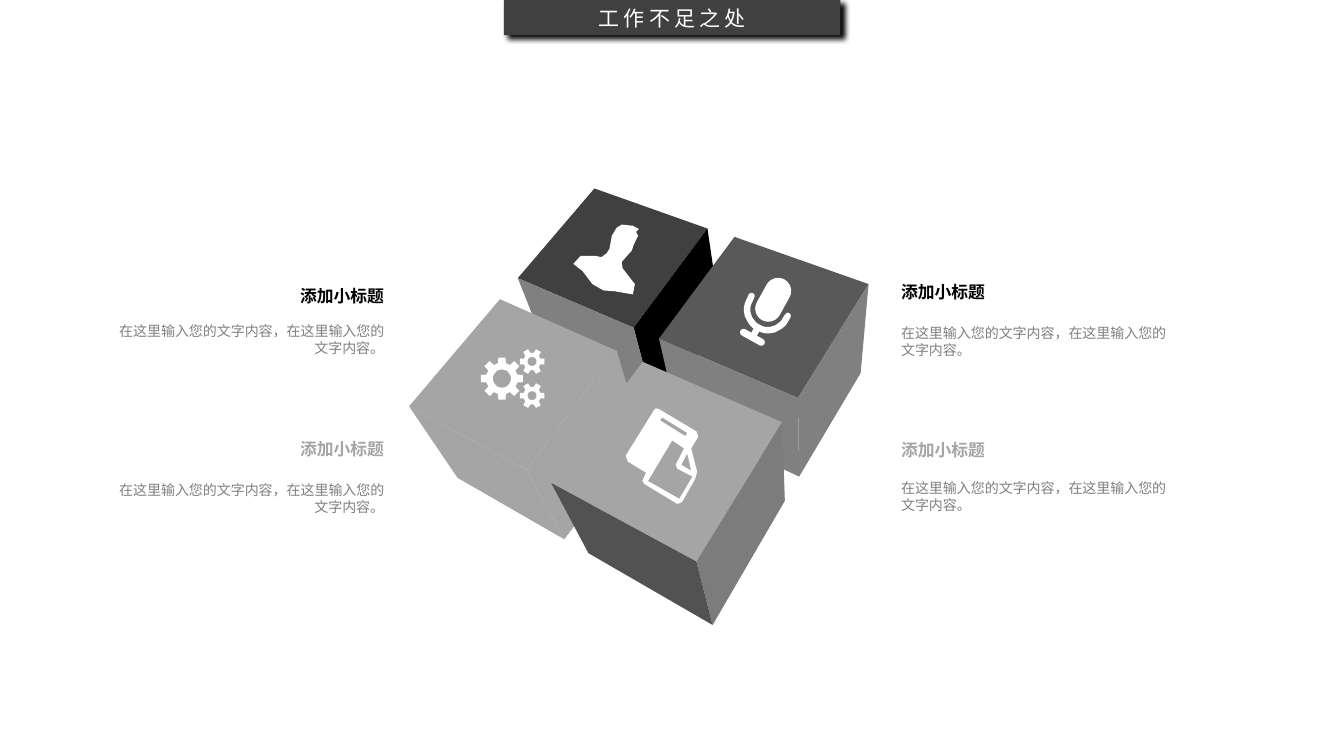
from dataclasses import dataclass
from math import cos, pi, radians, sin

from lxml import etree
from pptx import Presentation
from pptx.dml.color import RGBColor as RGB
from pptx.enum.shapes import MSO_SHAPE as SHAPE
from pptx.enum.text import MSO_ANCHOR as ANCHOR, PP_ALIGN as ALIGN
from pptx.oxml import parse_xml
from pptx.oxml.ns import nsdecls, qn
from pptx.util import Cm, Pt


@dataclass(frozen=True)
class Theme:
    dark: str = "404040"
    black: str = "000000"
    slate: str = "595959"
    grey: str = "808080"
    light: str = "A5A5A5"
    file_side: str = "7C7C7C"
    file_front: str = "525252"
    white: str = "FFFFFF"
    head_font: str = "Noto Sans CJK SC"
    body_font: str = "Arial"
    head_size: int = 15
    title_size: int = 12
    body_size: int = 10


T = Theme()
UNIT = Cm(0.01)
MIC_TILT = 29

# Vertices: back, right, front, left, low right, low front, low left
USER_CUBE = [(467, 0), (752, 101), (566, 351), (274, 226), (787, 340), (620, 556), (356, 432)]
MIC_CUBE = [(820, 122), (1158, 241), (980, 528), (630, 378), (1138, 465), (983, 726), (676, 582)]
GEAR_CUBE = [(229, 279), (523, 409), (295, 709), (0, 549), (589, 625), (391, 884), (122, 729)]
FILE_CUBE = [(589, 437), (940, 589), (724, 940), (358, 742), (947, 787), (765, 1100), (452, 919)]

USER_ICON = [
    (569, 241), (538, 201), (536, 185), (549, 170), (561, 157), (566, 142), (577, 119), (572, 109),
    (579, 102), (564, 94), (536, 91), (523, 99), (511, 119), (505, 152), (498, 163), (485, 173),
    (470, 170), (432, 170), (414, 190), (437, 208), (462, 241), (490, 257), (518, 259), (564, 267)]
FILE_EDGE = [
    (688, 790), (676, 795), (592, 744), (588, 737), (597, 716), (551, 688), (546, 673), (617, 559),
    (622, 554), (630, 556), (724, 612), (729, 625), (711, 655), (726, 714), (721, 732)]
FILE_SLOT = [(701, 616), (638, 577), (632, 584), (696, 624)]
FILE_PAGE = [(681, 782), (714, 726), (676, 706), (672, 696), (693, 655), (663, 635), (602, 737)]
FILE_FOLD = [(711, 711), (701, 668), (686, 696)]


def paint(sp, color):
    sp.shadow.inherit = False
    sp.fill.solid()
    sp.fill.fore_color.rgb = RGB.from_string(color)
    sp.line.fill.background()


def outline(s, box, color, *contours):
    builder = None
    for points in contours:
        if builder is None:
            builder = s.shapes.build_freeform(*points[0], scale=UNIT)
        else:
            builder.move_to(*points[0])
        builder.add_line_segments(points[1:], close=True)
    paint(builder.convert_to_shape(*box), color)


def arc(cx, cy, r, start, end, steps=16):
    angles = [radians(start + (end - start) * i / steps) for i in range(steps + 1)]
    return [(cx + r * cos(a), cy + r * sin(a)) for a in angles]


def cube(s, box, vertices, top, side, front):
    back, right, near, left, low_right, low_near, low_left = vertices
    outline(s, box, top, [back, right, near, left])
    outline(s, box, side, [right, low_right, low_near, near])
    outline(s, box, front, [near, low_near, low_left, left])


def gear(s, box, cx, cy, teeth, tip, root, hole):
    step = 2 * pi / teeth
    profile = [(-0.32, root), (-0.21, tip), (0.21, tip), (0.32, root)]
    edge = [(cx + r * cos((i + k) * step), cy + r * sin((i + k) * step))
            for i in range(teeth) for k, r in profile]
    outline(s, box, T.white, edge, arc(cx, cy, hole, 360, 0, 24))


def microphone(s, box, cx, cy):
    c, d = cos(radians(MIC_TILT)), sin(radians(MIC_TILT))
    for drop, w, h in [(-28, 66, 117), (66, 16, 36), (80, 69, 18)]:
        x, y = cx - d * drop - w / 2, cy + c * drop - h / 2
        sp = s.shapes.add_shape(SHAPE.ROUNDED_RECTANGLE, box[0] + Cm(x / 100),
                                box[1] + Cm(y / 100), Cm(w / 100), Cm(h / 100))
        sp.adjustments[0] = 0.5
        sp.rotation = MIC_TILT
        paint(sp, T.white)
    cradle = (arc(0, 0, 60, 0, 180) + arc(-52, -10, 8, 180, 360, 6)
              + arc(0, 0, 44, 180, 0) + arc(52, -10, 8, 180, 360, 6))
    outline(s, box, T.white, [(cx + x * c - y * d, cy + x * d + y * c) for x, y in cradle])


def cubes(s, box):
    cube(s, box, USER_CUBE, T.dark, T.black, T.grey)
    outline(s, box, T.white, USER_ICON)
    cube(s, box, MIC_CUBE, T.slate, T.grey, T.grey)
    microphone(s, box, 904, 305)
    cube(s, box, GEAR_CUBE, T.light, T.light, T.light)
    gear(s, box, 234, 479, 8, 54, 40, 23)
    for cy in (436, 522):
        gear(s, box, 310, cy, 6, 32, 22, 11)
    cube(s, box, FILE_CUBE, T.light, T.file_side, T.file_front)
    outline(s, box, T.white, FILE_EDGE, FILE_SLOT, FILE_PAGE, FILE_FOLD)


def write(p, text, font, size, color, align, bold=False):
    p.text = text
    p.alignment = align
    p.font.name, p.font.size, p.font.bold = font, Pt(size), bold
    p.font.color.rgb = RGB.from_string(color)


def header(s, x, y, w, h):
    sp = s.shapes.add_shape(SHAPE.RECTANGLE, x, y, w, h)
    paint(sp, T.dark)
    effects = sp._element.spPr.find(qn("a:effectLst"))
    effects.append(parse_xml(
        f'<a:outerShdw {nsdecls("a")} blurRad="{Pt(4)}" dist="{Pt(4)}" dir="{40 * 60000}" '
        'algn="tl" rotWithShape="0"><a:srgbClr val="000000"><a:alpha val="99000"/>'
        '</a:srgbClr></a:outerShdw>'))
    tf = sp.text_frame
    tf.vertical_anchor = ANCHOR.MIDDLE
    p = tf.paragraphs[0]
    write(p, "工作不足之处", T.head_font, T.head_size, T.white, ALIGN.CENTER)
    rPr = p.runs[0]._r.get_or_add_rPr()
    rPr.set("spc", "300")
    etree.SubElement(rPr, qn("a:ea")).set("typeface", T.head_font)


def label(s, x, y, w, h, *style):
    tf = s.shapes.add_textbox(x, y, w, h).text_frame
    tf.word_wrap = True
    tf.vertical_anchor = ANCHOR.MIDDLE
    tf.margin_left = tf.margin_right = tf.margin_top = tf.margin_bottom = 0
    write(tf.paragraphs[0], *style)


def caption(s, x, y, w, gap, color, align):
    label(s, x, y, w, Cm(0.51), "添加小标题", T.body_font, T.title_size, color, align, True)
    label(s, x, y + gap, w, Cm(0.86), "在这里输入您的文字内容，在这里输入您的文字内容。",
          T.body_font, T.body_size, T.grey, align)


def main():
    prs = Presentation()
    prs.slide_width, prs.slide_height = Cm(33.87), Cm(19.05)
    s = prs.slides.add_slide(prs.slide_layouts[6])
    header(s, Cm(12.7), 0, Cm(8.48), Cm(0.89))
    for x, y, gap, color, align in [
            (22.71, 11.07, 1, T.light, ALIGN.LEFT),
            (22.71, 7.11, 1.07, T.black, ALIGN.LEFT),
            (2.69, 11.05, 1.07, T.light, ALIGN.RIGHT),
            (2.69, 7.19, 0.94, T.black, ALIGN.RIGHT)]:
        caption(s, Cm(x), Cm(y), Cm(6.99), Cm(gap), color, align)
    cubes(s, (Cm(10.31), Cm(4.75)))
    prs.save("out.pptx")


if __name__ == "__main__":
    main()
